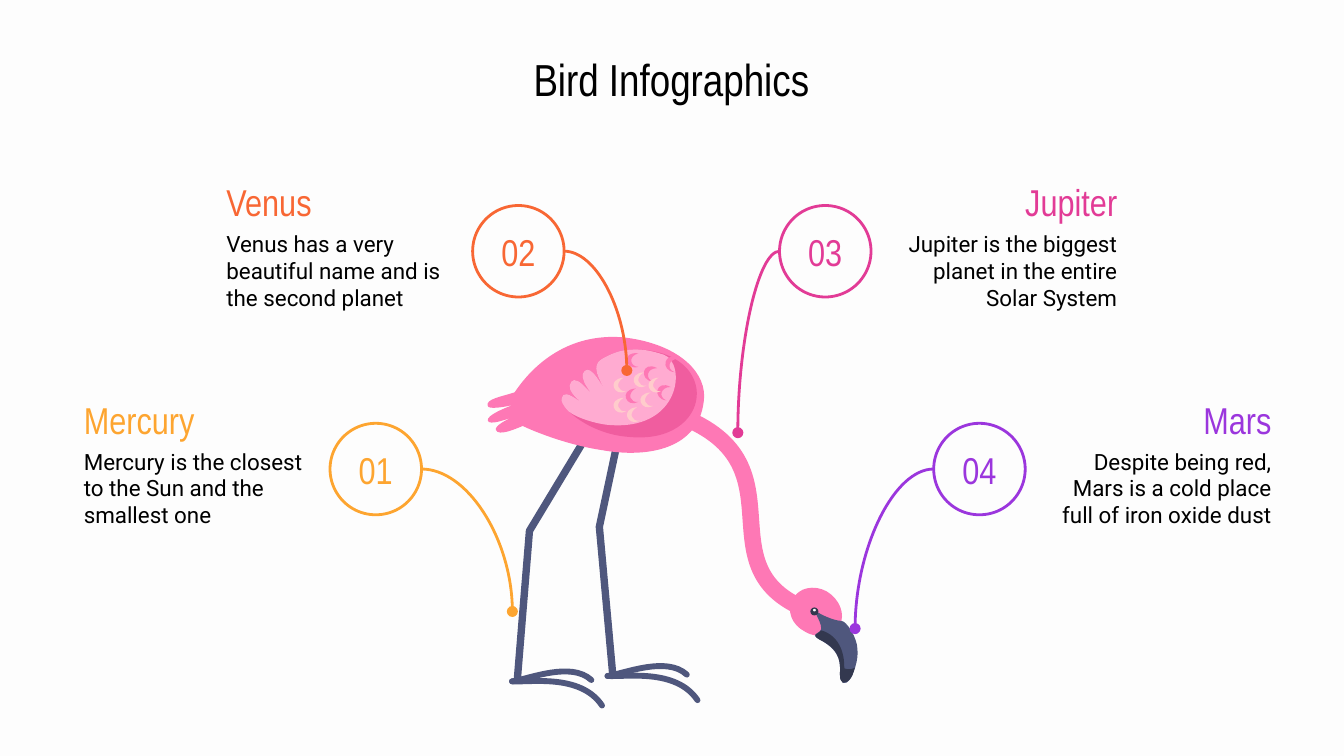
import pptx
import pptx.util
import pptx.dml.color
import pptx.enum.shapes
import pptx.enum.text
import pptx.oxml.ns
import lxml.etree

Pt = pptx.util.Pt
qn = pptx.oxml.ns.qn
Align = pptx.enum.text.PP_ALIGN
Kinds = pptx.enum.shapes.MSO_SHAPE

# Content: number, name, text, colour, circle left and top, side of text, wire end
NOTES = [
    ("01", "Mercury", "Mercury is the closest to the Sun and the smallest one",
     "FDA530", 176.8, 226.8, "left", (274.5, 327.6)),
    ("02", "Venus", "Venus has a very beautiful name and is the second planet",
     "F86734", 253.2, 110.1, "left", (335.8, 198.5)),
    ("03", "Jupiter", "Jupiter is the biggest planet in the entire Solar System",
     "E23B96", 417.6, 110.1, "right", (395.3, 231.8)),
    ("04", "Mars", "Despite being red, Mars is a cold place full of iron oxide dust",
     "9B36DD", 500.2, 226.8, "right", (458.1, 336.8)),
]
RING, WIDE = 49, 139

# Bird outlines on a grid of 0.72 pt: a start point, then three points per curve
UNIT = 0.72
SLATE, DARK, PINK, ROSE, PALE, CREAM = (
    "4F577D", "33384F", "FE78B5", "F05D9F", "FFABD1", "FFCCCC")
LEGS = [
    [(435, 327), (394, 395), (385, 505)],
    [(459, 331), (446, 392), (456, 502)],
]
NECK = [(601, 454), (518, 421), (605, 341), (496, 306)]
HEAD = [
    (PINK, [(615, 440), (606, 435), (594, 437), (590, 446), (585, 454), (589, 465),
            (599, 470), (609, 476), (620, 473), (625, 465), (629, 457), (625, 446),
            (615, 440)]),
    (SLATE, [(609, 456), (614, 459), (622, 462), (626, 462), (630, 462), (638, 475),
             (638, 483), (639, 491), (635, 502), (632, 506), (629, 510), (625, 509),
             (625, 502), (625, 495), (627, 485), (610, 476), (601, 471), (612, 472),
             (611, 467), (611, 462), (604, 454), (609, 456)]),
    (DARK, [(627, 508), (626, 507), (625, 505), (625, 502), (625, 495), (627, 484),
            (610, 476), (603, 472), (609, 472), (611, 469), (625, 473), (631, 488),
            (627, 508)]),
    (DARK, [(636, 497), (635, 501), (634, 504), (632, 506), (629, 509), (625, 509),
            (625, 502), (625, 500), (625, 498), (625, 496), (629, 498), (632, 499),
            (636, 497)]),
]
TOES = [
    [(452, 503), (465, 501), (496, 488), (511, 502)],
    [(452, 503), (465, 504), (503, 497), (519, 521)],
]
STEP = (-71, 4)  # from the near foot to the far one
PLUMES = [(448, 267), (439, 272), (446, 282), (451, 292), (448, 287), (440, 271),
          (435, 276), (429, 281), (442, 295), (446, 301), (442, 296), (430, 278),
          (425, 284), (419, 292), (437, 302), (442, 307), (436, 303), (420, 287),
          (418, 296)]
BODY = [
    (PINK, [(383, 292), (374, 295), (361, 297), (363, 302), (363, 305), (376, 303),
            (383, 301), (377, 303), (362, 309), (363, 313), (364, 317), (377, 312),
            (383, 310), (377, 312), (368, 317), (369, 320), (371, 325), (384, 319),
            (389, 317), (395, 320), (421, 331), (448, 335), (481, 341), (522, 335),
            (524, 295), (524, 274), (501, 255), (463, 251), (423, 248), (397, 271),
            (383, 292)]),
    (ROSE, [(418, 296), (416, 304), (440, 323), (467, 325), (531, 332), (538, 261),
            (473, 260), (463, 260), (457, 262)] + PLUMES),
    (PALE, [(418, 296), (417, 298), (419, 302), (423, 306), (429, 311), (443, 315),
            (451, 316), (507, 322), (511, 270), (494, 264), (488, 262), (481, 260),
            (473, 260), (463, 260), (457, 262)] + PLUMES),
]
# Wing scales: colour, outline from its tip, places of the tip
MOON = [(0, 0), (-7, 4), (-4, 11), (2, 10), (-7, 15), (-13, 1), (0, 0)]
HOOK = [(0, 0), (-8, 0), (-9, 8), (-3, 10), (-14, 9), (-11, -6), (0, 0)]
CURL = [(0, 0), (-8, 2), (-6, 10), (0, 10), (-10, 13), (-13, -2), (0, 0)]
SCALES = [
    (PINK, HOOK, [(505, 267), (489, 274), (499, 288)]),
    (PINK, CURL, [(475, 263)]),
    (PINK, MOON, [(473, 289)]),
    (CREAM, MOON, [(484, 292), (490, 281), (479, 277), (464, 296), (464, 281),
                   (474, 303)]),
]

deck = pptx.Presentation()
deck.slide_width, deck.slide_height = Pt(720), Pt(405)
slide = deck.slides.add_slide(deck.slide_layouts[6])
shapes = slide.shapes


def tint(code):
    return pptx.dml.color.RGBColor.from_string(code)


def paint(shape, fill=None, line=None, width=1.5):
    shape.shadow.inherit = False
    if fill:
        shape.fill.solid()
        shape.fill.fore_color.rgb = tint(fill)
    else:
        shape.fill.background()
    if line:
        shape.line.color.rgb = tint(line)
        shape.line.width = Pt(width)
    else:
        shape.line.fill.background()


def write(shape, text, size, font, color, align):
    frame = shape.text_frame
    frame.text = text
    frame.word_wrap = True
    frame.vertical_anchor = pptx.enum.text.MSO_ANCHOR.MIDDLE
    frame.margin_left = frame.margin_right = Pt(7.2)
    frame.margin_top = frame.margin_bottom = Pt(7.2)
    part = frame.paragraphs[0]
    part.alignment = align
    face = part.runs[0].font
    face.size, face.name, face.color.rgb = Pt(size), font, tint(color)


def label(x, y, w, h, *style):
    write(shapes.add_textbox(Pt(x), Pt(y), Pt(w), Pt(h)), *style)


def shift(points, move):
    return [(x + move[0], y + move[1]) for x, y in points]


def draw(points, closed):
    spots = [(Pt(x * UNIT), Pt(y * UNIT)) for x, y in points]
    pen = shapes.build_freeform(*spots[0])
    pen.add_line_segments(spots[1:], close=closed)
    return pen.convert_to_shape()


def bend(shape):
    """Join each three straight steps into one cubic curve."""
    steps = list(shape.element.iter(qn("a:lnTo")))
    for i in range(0, len(steps), 3):
        curve = lxml.etree.Element(qn("a:cubicBezTo"))
        steps[i].addprevious(curve)
        for step in steps[i:i + 3]:
            curve.append(step[0])
            step.getparent().remove(step)


def blob(color, points):
    shape = draw(points, True)
    bend(shape)
    paint(shape, color)


def stroke(points, color, width, curved=True):
    shape = draw(points, False)
    if curved:
        bend(shape)
    paint(shape, None, color, width)
    edge = shape.element.spPr.find(qn("a:ln"))
    edge.set("cap", "rnd")
    lxml.etree.SubElement(edge, qn("a:round"))


def wire(start, end, color):
    link = shapes.add_connector(pptx.enum.shapes.MSO_CONNECTOR.CURVE,
                                *[Pt(v) for v in start + end])
    link.line.color.rgb = tint(color)
    link.line.width = Pt(1.5)
    props = link.element.spPr
    props.find(qn("a:prstGeom")).set("prst", "curvedConnector2")
    lxml.etree.SubElement(props.find(qn("a:ln")), qn("a:tailEnd"), type="oval")
    lxml.etree.SubElement(props, qn("a:effectLst"))


# Background and title
slide.background.fill.solid()
slide.background.fill.fore_color.rgb = tint("FDFDFD")
label(35.3, 32.4, 648.7, 19.4, "Bird Infographics", 24, "Arial Narrow", "000000",
      Align.CENTER)

# Bird: legs, neck, head, eye, feet, body, wing
for leg in LEGS:
    stroke(leg, SLATE, 3.94, False)
stroke(NECK, PINK, 8.86)
for color, points in HEAD:
    blob(color, points)
for x, y, size, color in [(603, 452, 6, DARK), (605, 453, 2, "FDFDFD")]:
    box = [Pt(v * UNIT) for v in (x, y, size, size)]
    paint(shapes.add_shape(Kinds.OVAL, *box), color)
for move in [(0, 0), STEP]:
    for toe in TOES:
        stroke(shift(toe, move), SLATE, 3.15)
for color, points in BODY:
    blob(color, points)
for color, points, spots in SCALES:
    for spot in spots:
        blob(color, shift(points, spot))

# Notes: text beside a numbered ring, wire to the bird
for mark, name, text, color, x, y, side, end in NOTES:
    left = side == "left"
    align = Align.LEFT if left else Align.RIGHT
    edge = x - WIDE if left else x + RING
    label(edge, y - 8.4, WIDE, 13, name, 20, "Arial Narrow", color, align)
    label(edge, y + 12, WIDE, 45.4, text, 12, "Roboto", "000000", align)
    ring = shapes.add_shape(Kinds.OVAL, Pt(x), Pt(y), Pt(RING), Pt(RING))
    paint(ring, None, color)
    write(ring, mark, 20, "Arial Narrow", color, Align.CENTER)
    wire((x + RING if left else x, y + RING / 2), end, color)

deck.save("out.pptx")
